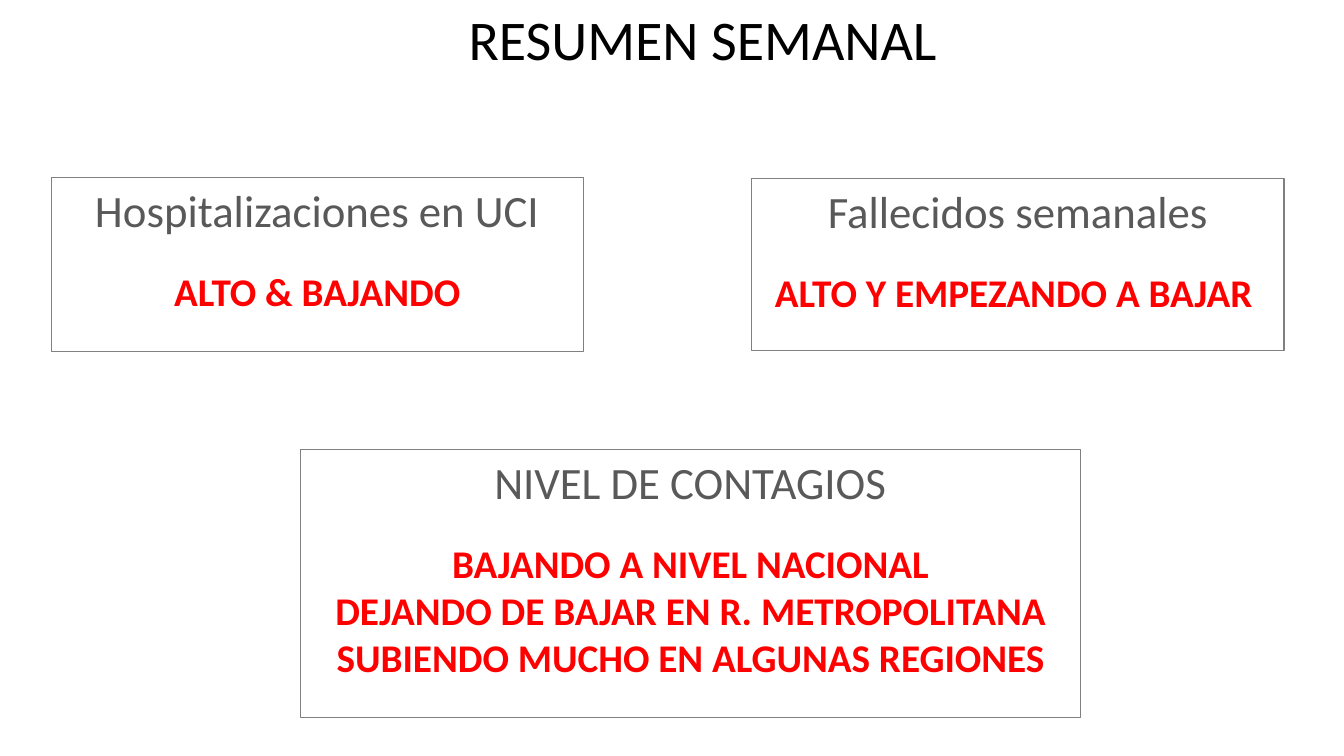
"""Build the weekly summary slide."""
from pptx import Presentation
from pptx.dml.color import RGBColor
from pptx.enum.shapes import MSO_SHAPE
from pptx.enum.text import MSO_ANCHOR, PP_ALIGN
from pptx.util import Cm, Pt

RECTANGLE = MSO_SHAPE.RECTANGLE
TOP = MSO_ANCHOR.TOP
LEFT, CENTER = PP_ALIGN.LEFT, PP_ALIGN.CENTER

BLACK = RGBColor(0x00, 0x00, 0x00)
GRAY = RGBColor(0x59, 0x59, 0x59)
BORDER = RGBColor(0x80, 0x80, 0x80)
RED = RGBColor(0xFF, 0x00, 0x00)

PANELS = [
    (1.29, 4.48, 13.41, 4.37, "Hospitalizaciones en UCI", "ALTO & BAJANDO"),
    (18.95, 4.5, 13.41, 4.34, "Fallecidos semanales",
     "ALTO Y EMPEZANDO A BAJAR "),
    (7.57, 11.33, 19.66, 6.76, "NIVEL DE CONTAGIOS",
     "BAJANDO A NIVEL NACIONAL\n"
     "DEJANDO DE BAJAR EN R. METROPOLITANA\n"
     "SUBIENDO MUCHO EN ALGUNAS REGIONES"),
]


def write(p, text, size, color, bold=False, align=LEFT, before=0):
    """Fill a paragraph with formatted text; newlines become line breaks."""
    p.text = text
    p.alignment = align
    p.space_before = Pt(before)
    for r in p.runs:
        r.font.name = "Calibri"
        r.font.size = Pt(size)
        r.font.bold = bold
        r.font.color.rgb = color


def add_title(slide, text):
    """Add the slide title."""
    tf = slide.shapes.add_textbox(Cm(11.56), Cm(0), Cm(12.42), Cm(1.96)).text_frame
    tf.word_wrap = False
    write(tf.paragraphs[0], text, size=40, color=BLACK)


def add_panel(slide, left, top, width, height, heading, status):
    """Add an outlined panel with a heading and its status."""
    sp = slide.shapes.add_shape(RECTANGLE, Cm(left), Cm(top), Cm(width), Cm(height))
    sp.shadow.inherit = False
    sp.fill.background()
    sp.line.color.rgb = BORDER
    sp.line.width = Pt(0.75)
    tf = sp.text_frame
    tf.word_wrap = True
    tf.vertical_anchor = TOP
    write(tf.paragraphs[0], heading, size=32, color=GRAY, align=CENTER)
    write(tf.add_paragraph(), status, size=28, color=RED, bold=True,
          align=CENTER, before=22)


def main():
    """Build and save the slide."""
    prs = Presentation()
    prs.slide_width, prs.slide_height = Cm(33.87), Cm(19.05)
    s = prs.slides.add_slide(prs.slide_layouts[6])
    add_title(s, "RESUMEN SEMANAL")
    for panel in PANELS:
        add_panel(s, *panel)
    prs.save("out.pptx")


if __name__ == "__main__":
    main()
